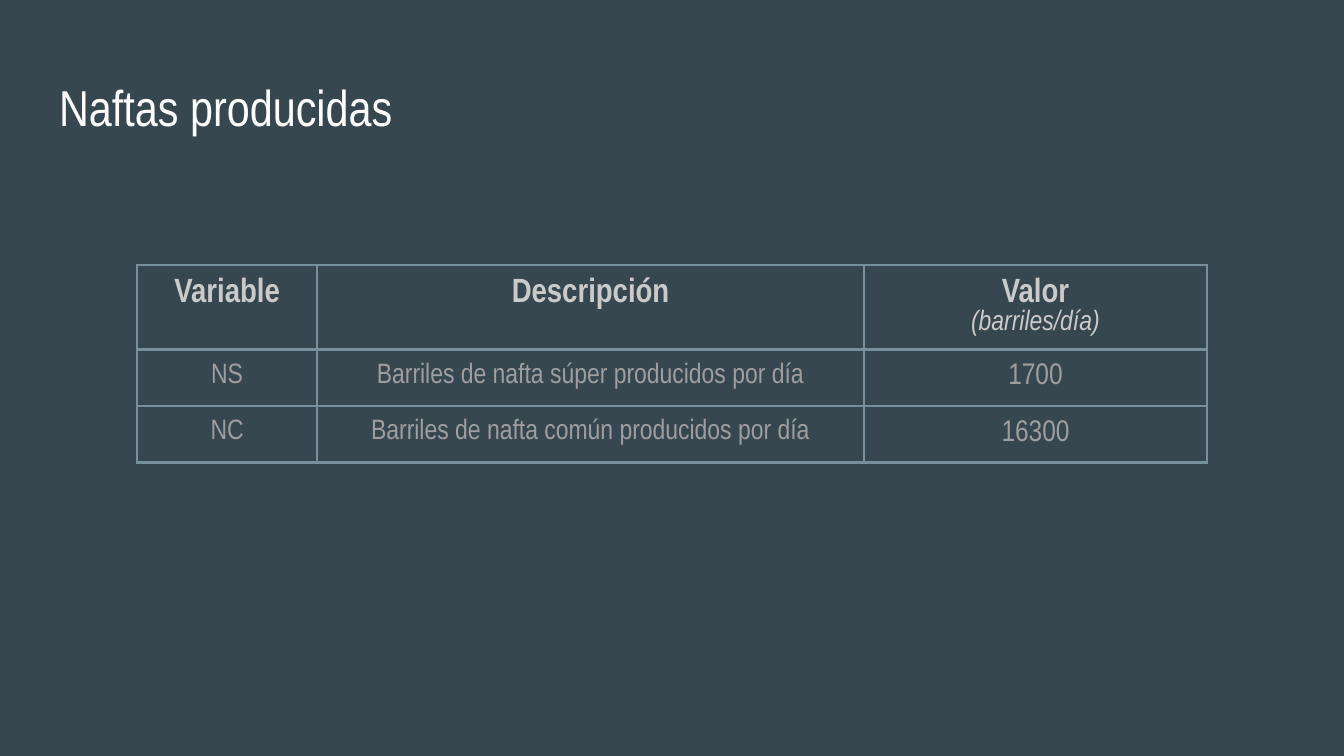
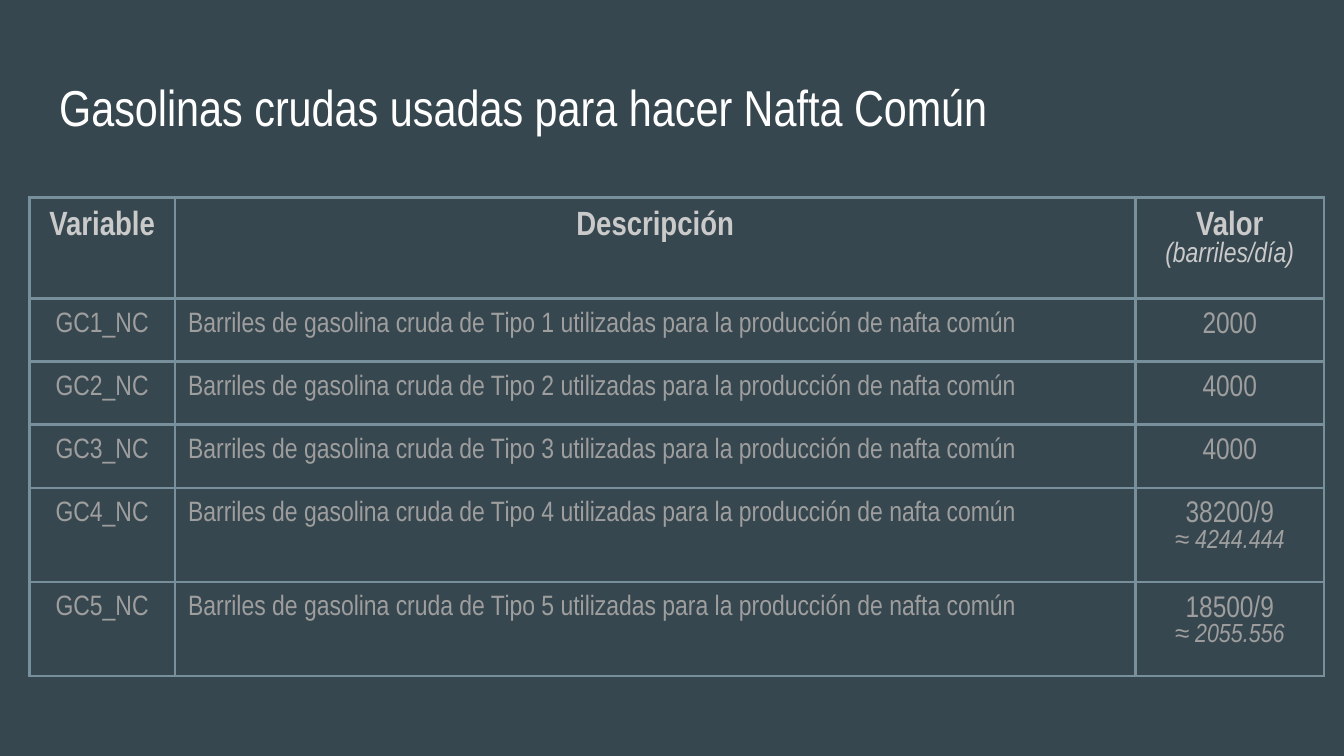
import lxml.etree
import pptx
import pptx.dml.color
import pptx.enum.text
import pptx.oxml.ns
import pptx.util

Inches, Pt = pptx.util.Inches, pptx.util.Pt
CENTER = pptx.enum.text.PP_ALIGN.CENTER
LEFT = pptx.enum.text.PP_ALIGN.LEFT

SLIDE_WIDTH = 10
SLIDE_HEIGHT = SLIDE_WIDTH * 9 / 16
FONT = "Arial Narrow"
BACKGROUND, BORDER = "37474F", "78909C"
TITLE_COLOR, HEADER_COLOR, BODY_COLOR = "FFFFFF", "CACACA", "9E9E9E"
TITLE_BOX = (0.34, 0.49, 9.32, 0.63)
INSET = 0.1
BORDER_WIDTH = 1.5

# A line break in a cell starts its smaller, italic second paragraph.
HEADER = ("Variable", "Descripción", "Valor\n(barriles/día)")
HEADER_SIZES = (18, 15)
BODY_SIZES = ((15,), (15,), (16, 14))

CRUDE_VALUES = ("2000", "4000", "4000", "38200/9\n≈ 4244.444", "18500/9\n≈ 2055.556")

SLIDES = [
    {
        "title": "Naftas producidas",
        "position": (1.02, 1.97),
        "widths": (1.34, 4.07, 2.55),
        "heights": (0.42, 0.42, 0.42),
        "description_alignment": CENTER,
        "rows": [
            ("NS", "Barriles de nafta súper producidos por día", "1700"),
            ("NC", "Barriles de nafta común producidos por día", "16300"),
        ],
    },
    {
        "title": "Gasolinas crudas usadas para hacer Nafta Común",
        "position": (0.22, 1.47),
        "widths": (1.08, 7.15, 1.4),
        "heights": (0.75, 0.47, 0.47, 0.47, 0.7, 0.7),
        "description_alignment": LEFT,
        "rows": [
            (
                f"GC{kind}_NC",
                f"Barriles de gasolina cruda de Tipo {kind} utilizadas "
                "para la producción de nafta común",
                value,
            )
            for kind, value in enumerate(CRUDE_VALUES, start=1)
        ],
    },
]


def color(value):
    return pptx.dml.color.RGBColor.from_string(value)


def format_paragraph(para, size, text_color, alignment, bold=False, italic=False):
    para.alignment = alignment
    for span in para.runs:
        font = span.font
        font.name, font.size = FONT, Pt(size)
        font.bold, font.italic = bold, italic
        font.color.rgb = color(text_color)


def set_insets(holder):
    holder.margin_left = holder.margin_right = Inches(INSET)
    holder.margin_top = holder.margin_bottom = Inches(INSET)


def add_borders(cell):
    qn = pptx.oxml.ns.qn
    properties = cell._tc.get_or_add_tcPr()
    for side in ("lnL", "lnR", "lnT", "lnB"):
        line = lxml.etree.SubElement(properties, qn(f"a:{side}"), w=str(Pt(BORDER_WIDTH)))
        fill = lxml.etree.SubElement(line, qn("a:solidFill"))
        lxml.etree.SubElement(fill, qn("a:srgbClr"), val=BORDER)


def fill_cell(cell, text, sizes, text_color, alignment, bold):
    add_borders(cell)
    cell.fill.background()
    set_insets(cell)
    cell.text_frame.text = text
    for index, (para, size) in enumerate(zip(cell.text_frame.paragraphs, sizes)):
        first = index == 0
        format_paragraph(para, size, text_color, alignment, bold and first, not first)


def add_title(slide, text):
    title = slide.shapes.title
    title.left, title.top, title.width, title.height = map(Inches, TITLE_BOX)
    frame = title.text_frame
    frame.text = text
    frame.word_wrap = True
    frame.auto_size = pptx.enum.text.MSO_AUTO_SIZE.NONE
    frame.vertical_anchor = pptx.enum.text.MSO_ANCHOR.BOTTOM
    set_insets(frame)
    format_paragraph(frame.paragraphs[0], 27, TITLE_COLOR, LEFT)


def add_variable_table(slide, content):
    widths, heights = content["widths"], content["heights"]
    left, top = content["position"]
    table = slide.shapes.add_table(
        len(heights), len(widths),
        Inches(left), Inches(top), Inches(sum(widths)), Inches(sum(heights)),
    ).table
    table.first_row = table.horz_banding = False
    for column, width in zip(table.columns, widths):
        column.width = Inches(width)
    for row, height in zip(table.rows, heights):
        row.height = Inches(height)

    alignments = (CENTER, content["description_alignment"], CENTER)
    for column, text in enumerate(HEADER):
        fill_cell(table.cell(0, column), text, HEADER_SIZES, HEADER_COLOR, CENTER, True)
    for row, texts in enumerate(content["rows"], start=1):
        for column, text in enumerate(texts):
            fill_cell(table.cell(row, column), text, BODY_SIZES[column],
                      BODY_COLOR, alignments[column], False)


def main():
    deck = pptx.Presentation()
    deck.slide_width, deck.slide_height = Inches(SLIDE_WIDTH), Inches(SLIDE_HEIGHT)
    title_only = deck.slide_layouts[5]
    for content in SLIDES:
        slide = deck.slides.add_slide(title_only)
        slide.background.fill.solid()
        slide.background.fill.fore_color.rgb = color(BACKGROUND)
        add_variable_table(slide, content)
        add_title(slide, content["title"])
    deck.save("out.pptx")


if __name__ == "__main__":
    main()
